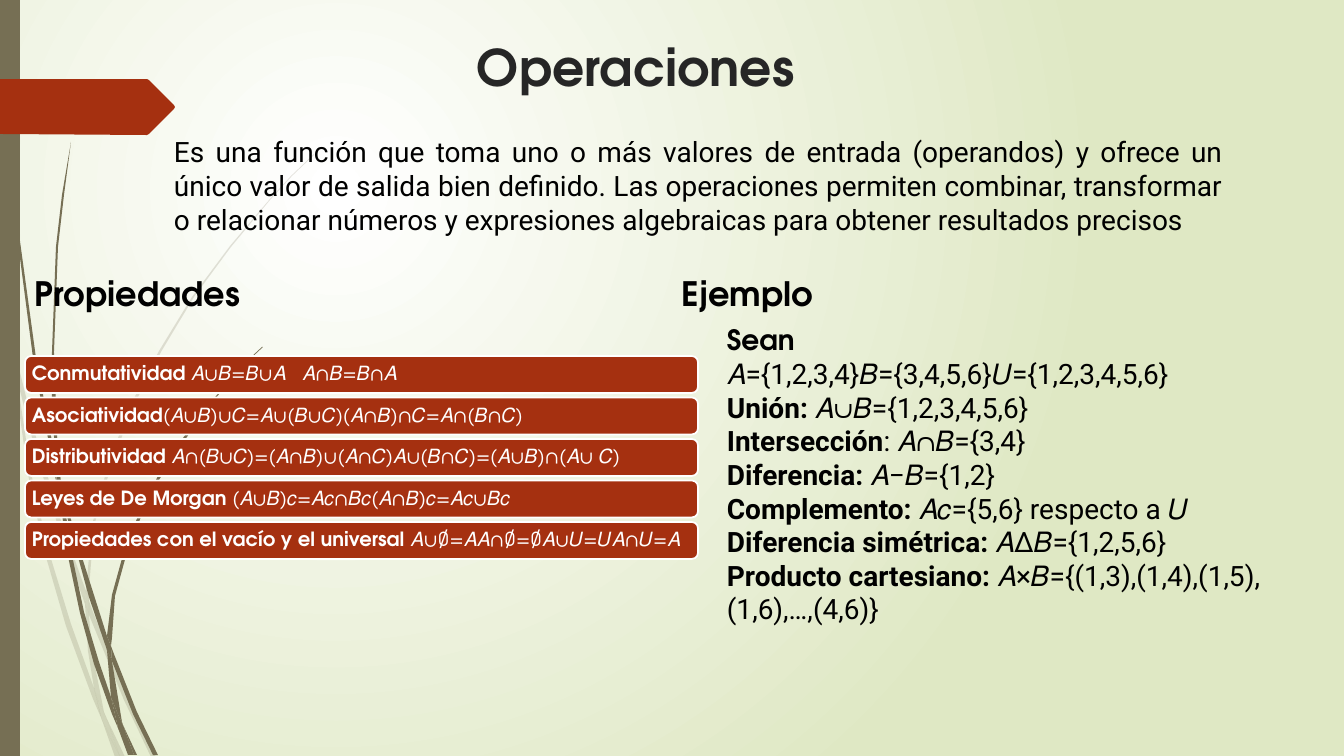
from pptx import Presentation, util as u
from pptx.dml.color import RGBColor
from pptx.enum import shapes, text
from pptx.oxml import parse_xml
from pptx.oxml.ns import nsdecls, qn

# Content
TITLE = "Operaciones"
DEFINITION = (
    "Es una función que toma uno o más valores de entrada (operandos) y ofrece un "
    "único valor de salida bien definido. Las operaciones permiten combinar, transformar "
    "o relacionar números y expresiones algebraicas para obtener resultados precisos"
)
PROPERTIES_HEADING, EXAMPLE_HEADING = "Propiedades", "Ejemplo"
# Each line is a bold label followed by a regular formula
PROPERTIES = [
    ("Conmutatividad", " 𝐴∪𝐵=𝐵∪𝐴   𝐴∩𝐵=𝐵∩𝐴"),
    ("Asociatividad", "(𝐴∪𝐵)∪𝐶=𝐴∪(𝐵∪𝐶)(𝐴∩𝐵)∩𝐶=𝐴∩(𝐵∩𝐶)"),
    ("Distributividad ", "𝐴∩(𝐵∪𝐶)=(𝐴∩𝐵)∪(𝐴∩𝐶)𝐴∪(𝐵∩𝐶)=(𝐴∪𝐵)∩(𝐴∪ 𝐶)"),
    ("Leyes de De Morgan ", "(𝐴∪𝐵)𝑐=𝐴𝑐∩𝐵𝑐(𝐴∩𝐵)𝑐=𝐴𝑐∪𝐵𝑐"),
    ("Propiedades con el vacío y el universal ", "𝐴∪∅=𝐴𝐴∩∅=∅𝐴∪𝑈=𝑈𝐴∩𝑈=𝐴"),
]
EXAMPLE_INTRO = ("Sean", "")
EXAMPLES = [
    ("", "𝐴={1,2,3,4}𝐵={3,4,5,6}𝑈={1,2,3,4,5,6}"),
    ("Unión:", " 𝐴∪𝐵={1,2,3,4,5,6}"),
    ("Intersección", ": 𝐴∩𝐵={3,4}"),
    ("Diferencia: ", "𝐴−𝐵={1,2}"),
    ("Complemento:", " 𝐴𝑐={5,6} respecto a 𝑈"),
    ("Diferencia simétrica:", " 𝐴Δ𝐵={1,2,5,6}"),
    ("Producto cartesiano: ", "𝐴×𝐵={(1,3),(1,4),(1,5),(1,6),…,(4,6)}"),
]

# Outlines of the grass blades and of the arrow tab
PALE_BLADES = [
    [(11, 353), (9, 325), (0, 284), (0, 301), (10, 347)],
    [(14, 348), (17, 379), (36, 453), (58, 526), (85, 604), (86, 591), (62, 524), (36, 437)],
    [(89, 601), (89, 615), (124, 700), (151, 757), (156, 757), (128, 698), (93, 612)],
    [(106, 717), (120, 757), (125, 757)],
    [(11, 353), (28, 474), (44, 550), (66, 626), (93, 699), (102, 720), (94, 688),
     (71, 624), (48, 549), (31, 473), (17, 379)],
    [(85, 604), (88, 651), (94, 688), (97, 698), (106, 717), (104, 712), (92, 651),
     (89, 615), (89, 613)],
    [(314, 154), (291, 176), (270, 199), (230, 246), (192, 297), (159, 351), (130, 406),
     (108, 465), (92, 525), (86, 589), (86, 591), (89, 601), (89, 589), (94, 526),
     (111, 466), (133, 407), (161, 352), (194, 297), (231, 247), (270, 200), (292, 176),
     (314, 155)],
    [(102, 720), (115, 757), (120, 757)],
    [(89, 613), (89, 615), (89, 601), (86, 591), (85, 604)],
    [(94, 688), (100, 713), (102, 720), (120, 757), (106, 717), (97, 698)],
]
DARK_BLADES = [
    [(3, 0), (4, 48), (7, 111), (17, 235), (33, 358), (56, 481), (57, 485), (55, 461),
     (55, 457), (36, 358), (19, 234), (8, 110), (5, 48), (4, 0)],
    [(60, 476), (65, 509), (89, 597), (107, 650), (107, 636), (94, 595), (75, 535)],
    [(111, 646), (112, 661), (133, 714), (153, 755), (158, 755), (137, 712), (114, 654)],
    [(57, 481), (69, 561), (80, 613), (94, 664), (112, 714), (118, 728), (117, 723),
     (111, 697), (99, 662), (84, 612), (73, 560), (65, 509)],
    [(71, 142), (62, 195), (56, 247), (52, 352), (52, 402), (55, 453), (60, 476),
     (58, 457), (54, 352), (58, 247), (64, 195)],
    [(123, 725), (134, 755), (137, 755)],
    [(57, 481), (65, 509), (60, 476), (55, 453), (55, 457)],
    [(262, 347), (247, 361), (233, 376), (206, 408), (180, 442), (157, 478), (138, 516),
     (123, 555), (112, 595), (107, 636), (111, 646), (112, 638), (115, 596), (126, 556),
     (141, 517), (159, 480), (182, 444), (207, 409), (233, 377), (247, 362), (263, 347)],
    [(118, 728), (128, 755), (132, 755)],
    [(107, 650), (111, 697), (117, 712), (123, 725), (122, 722), (112, 661), (110, 656)],
    [(107, 650), (110, 656), (112, 661), (111, 646), (107, 636)],
    [(111, 697), (117, 723), (118, 728), (131, 755), (134, 755), (123, 725), (117, 712)],
]
TAB = [(0, 79), (147, 79), (149, 80), (174, 105), (175, 107), (174, 109), (149, 134),
       (147, 135), (0, 134)]

COLORS = {"stem": "766F54", "accent": "A53010", "title": "262626", "text": "000000",
          "white": "FFFFFF", "edge": "DFE8C4"}
HEAD_FONT, BODY_FONT = "TeX Gyre Adventor", "Roboto"
WIDTH, HEIGHT = 1344, 756
SCALE = 12192000 / WIDTH


def px(length):
    return u.Emu(round(length * SCALE))


def rgb(name):
    return RGBColor.from_string(COLORS[name])


def paint(shape, color):
    shape.shadow.inherit = False
    shape.fill.solid()
    shape.fill.fore_color.rgb = rgb(color)
    shape.line.fill.background()


def add_preset(kind, left, top, width, height, color):
    shape = page.shapes.add_shape(kind, px(left), px(top), px(width), px(height))
    paint(shape, color)
    return shape


def add_outline(points, color, opacity=100):
    builder = page.shapes.build_freeform(*points[0], scale=SCALE)
    builder.add_line_segments(points[1:], close=True)
    shape = builder.convert_to_shape()
    paint(shape, color)
    if opacity < 100:
        tint = shape.fill._xPr.find(qn("a:solidFill"))[0]
        tint.append(parse_xml(f'<a:alpha {nsdecls("a")} val="{opacity * 1000}"/>'))


def write(para, parts, font, size, color):
    para.font.name, para.font.size = font, u.Pt(size)
    para.font.color.rgb = rgb(color)
    label, formula = parts
    para.font.bold = not formula
    for words, bold in ((label, True), (formula, False)):
        if words:
            span = para.add_run()
            span.text = words
            if label and formula:
                span.font.bold = bold


def add_text(left, top, width, height, lines):
    box = page.shapes.add_textbox(px(left), px(top), px(width), px(height))
    frame = box.text_frame
    frame.word_wrap = True
    for index, line in enumerate(lines):
        write(frame.add_paragraph() if index else frame.paragraphs[0], *line)
    return frame


deck = Presentation()
deck.slide_width, deck.slide_height = px(WIDTH), px(HEIGHT)
page = deck.slides.add_slide(deck.slide_layouts[6])

# Background: circular gradient
page.background.fill.solid()
solid = page.background.fill._xPr.find(qn("a:solidFill"))
solid.getparent().replace(solid, parse_xml(
    f'<a:gradFill {nsdecls("a")} rotWithShape="1"><a:gsLst>'
    f'<a:gs pos="0"><a:srgbClr val="{COLORS["white"]}"/></a:gs>'
    f'<a:gs pos="100000"><a:srgbClr val="{COLORS["edge"]}"/></a:gs></a:gsLst>'
    '<a:path path="circle"><a:fillToRect l="50000" t="50000" r="100000" b="100000"/>'
    '</a:path></a:gradFill>'))

# Decoration: grass, side bar and arrow tab
for blades, opacity in ((PALE_BLADES, 20), (DARK_BLADES, 100)):
    for points in blades:
        add_outline(points, "stem", opacity)
add_preset(shapes.MSO_SHAPE.RECTANGLE, 0, 0, 20, HEIGHT, "stem")
add_outline(TAB, "accent")

# Title, definition and headings
add_text(467, 31, 411, 91, [((TITLE, ""), HEAD_FONT, 36, "title")])
definition = add_text(164, 130, 1069, 112, [(("", DEFINITION), BODY_FONT, 20, "text")])
definition.paragraphs[0].alignment = text.PP_ALIGN.JUSTIFY
for left, heading in ((25, PROPERTIES_HEADING), (672, EXAMPLE_HEADING)):
    add_text(left, 268, 673, 50, [((heading, ""), HEAD_FONT, 24, "text")])

# Worked example
add_text(717, 318, 627, 316, [(EXAMPLE_INTRO, HEAD_FONT, 20, "text")]
         + [(parts, BODY_FONT, 20, "text") for parts in EXAMPLES])

# Property bars
BAR_TOP, BAR_STEP = 356, 41.5
for index, parts in enumerate(PROPERTIES):
    bar = add_preset(shapes.MSO_SHAPE.ROUNDED_RECTANGLE, 25, BAR_TOP + index * BAR_STEP,
                     673, 37, "accent")
    bar.line.color.rgb = rgb("white")
    bar.line.width = u.Pt(1.25)
    frame = bar.text_frame
    frame.word_wrap = True
    frame.vertical_anchor = text.MSO_ANCHOR.MIDDLE
    frame.margin_left = frame.margin_right = px(5)
    frame.margin_top = frame.margin_bottom = px(6)
    para = frame.paragraphs[0]
    para.alignment = text.PP_ALIGN.LEFT
    para.line_spacing = 0.9
    write(para, parts, HEAD_FONT, 14, "white")

deck.save("out.pptx")
